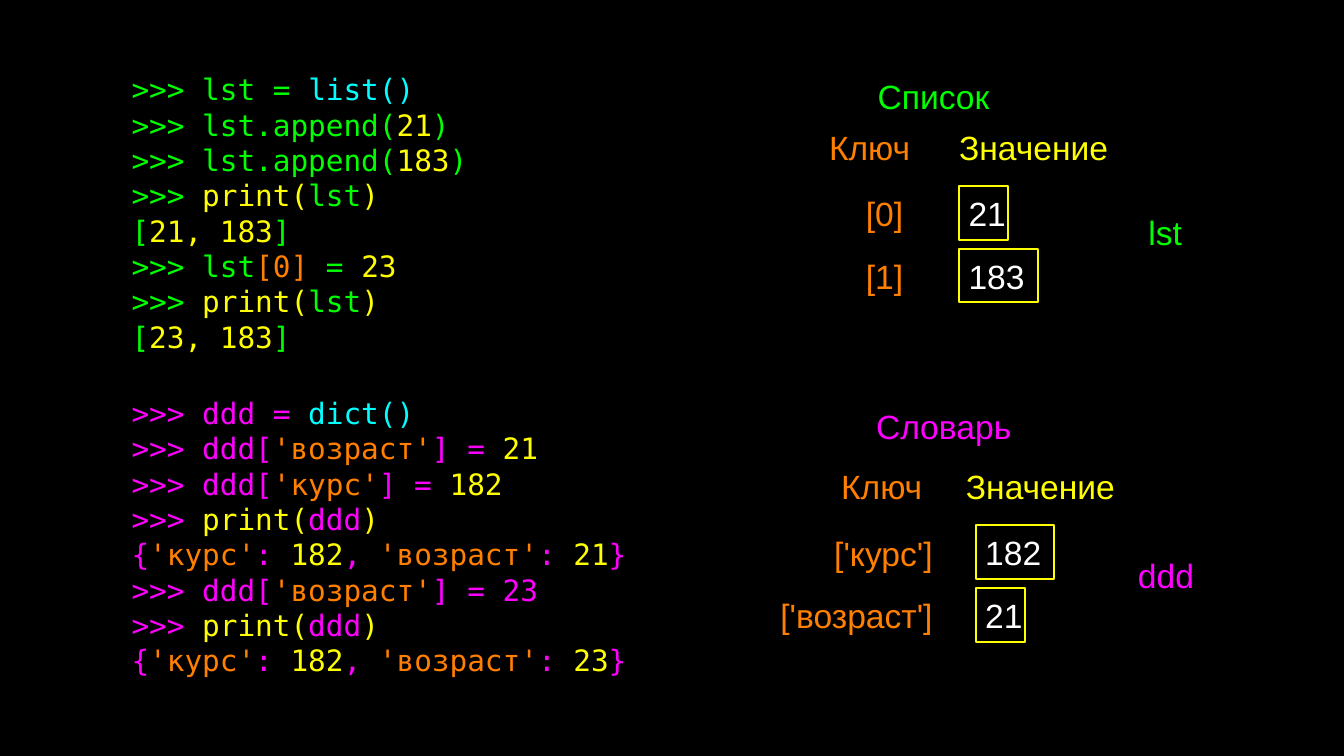
from pptx import Presentation
from pptx.dml.color import RGBColor
from pptx.enum.shapes import MSO_SHAPE
from pptx.enum.text import MSO_ANCHOR, PP_ALIGN
from pptx.util import Inches, Pt

LEFT, CENTER, RIGHT = PP_ALIGN.LEFT, PP_ALIGN.CENTER, PP_ALIGN.RIGHT
MIDDLE = MSO_ANCHOR.MIDDLE
RECTANGLE = MSO_SHAPE.RECTANGLE

COLORS = {
    "background": "000000",
    "list": "00FF00",
    "dict": "FF00FF",
    "type": "00FFFF",
    "key": "FF7F00",
    "value": "FFFF00",
    "content": "FFFFFF",
}
CODE_FONT, LABEL_FONT = "DejaVu Sans Mono", "Arial"
BOX_HEIGHT, KEY_HEIGHT, ROW_STEP = 0.71, 0.68, 0.83


def rgb(name):
    return RGBColor.from_string(COLORS[name])


def write_text(shape, lines, *, font=LABEL_FONT, size=32, align=CENTER):
    """Fill a shape with lines, each a list of (text, colour name) runs."""
    frame = shape.text_frame
    frame.word_wrap = True
    frame.vertical_anchor = MIDDLE
    frame.margin_left = frame.margin_right = 0
    frame.margin_top = frame.margin_bottom = 0
    for index, line in enumerate(lines):
        paragraph = frame.add_paragraph() if index else frame.paragraphs[0]
        paragraph.alignment = align
        for text, color in line:
            run = paragraph.add_run()
            run.text = text
            run.font.name = font
            run.font.size = Pt(size)
            run.font.color.rgb = rgb(color)


def add_label(slide, text, color, left, top, width, height, align=CENTER):
    shape = slide.shapes.add_textbox(*map(Inches, (left, top, width, height)))
    write_text(shape, [[(text, color)]], align=align)


def add_code(slide, lines, left, top, width, height):
    shape = slide.shapes.add_textbox(*map(Inches, (left, top, width, height)))
    write_text(shape, lines, font=CODE_FONT, size=28, align=LEFT)


def add_value_box(slide, text, left, top, width):
    shape = slide.shapes.add_shape(
        RECTANGLE, *map(Inches, (left, top, width, BOX_HEIGHT)))
    shape.shadow.inherit = False
    shape.fill.background()
    shape.line.color.rgb = rgb("value")
    shape.line.width = Pt(2)
    write_text(shape, [[(text, "content")]], align=LEFT)


def add_rows(slide, rows, key_right, box_left, top):
    """Stack key and value pairs; keys end at key_right."""
    for index, (key, key_width, value, box_width) in enumerate(rows):
        row_top = top + index * ROW_STEP
        add_label(slide, key, "key", key_right - key_width, row_top + 0.02,
                  key_width, KEY_HEIGHT, RIGHT)
        add_value_box(slide, value, box_left, row_top, box_width)


def add_headings(slide, top, key_width, value_width):
    add_label(slide, "Ключ", "key", 10.85, top, key_width, KEY_HEIGHT)
    add_label(slide, "Значение", "value", 12.66, top, value_width, KEY_HEIGHT)


def create_line(name, constructor, color):
    return [(f">>> {name} = ", color), (constructor, "type")]


def print_line(name, color):
    return [(">>> ", color), ("print(", "value"), (name, color), (")", "value")]


def append_line(value):
    return [(">>> lst.append(", "list"), (value, "value"), (")", "list")]


def list_output(values):
    return [("[", "list"), (values, "value"), ("]", "list")]


def assign_line(key, value, value_color="value"):
    return [(">>> ddd[", "dict"), (key, "key"), ("] = ", "dict"),
            (value, value_color)]


def dict_output(course, age):
    return [("{", "dict"), ("'курс'", "key"), (": ", "dict"),
            (course, "value"), (", ", "dict"), ("'возраст'", "key"),
            (": ", "dict"), (age, "value"), ("}", "dict")]


def main():
    presentation = Presentation()
    presentation.slide_width = Inches(17.78)
    presentation.slide_height = Inches(10)
    slide = presentation.slides.add_slide(presentation.slide_layouts[6])
    slide.background.fill.solid()
    slide.background.fill.fore_color.rgb = rgb("background")

    # List session
    add_code(slide, [
        create_line("lst", "list()", "list"),
        append_line("21"),
        append_line("183"),
        print_line("lst", "list"),
        list_output("21, 183"),
        [(">>> lst", "list"), ("[0]", "key"), (" = ", "list"), ("23", "value")],
        print_line("lst", "list"),
        list_output("23, 183"),
    ], 1.74, 0.85, 6.22, 3.93)

    # Dictionary session
    add_code(slide, [
        create_line("ddd", "dict()", "dict"),
        assign_line("'возраст'", "21"),
        assign_line("'курс'", "182"),
        print_line("ddd", "dict"),
        dict_output("182", "21"),
        assign_line("'возраст'", "23", "dict"),
        print_line("ddd", "dict"),
        dict_output("182", "23"),
    ], 1.74, 4.94, 6.8, 4.31)

    # List diagram
    add_label(slide, "Список", "list", 11.39, 0.85, 1.92, 0.85)
    add_headings(slide, 1.6, 1.31, 2.03)
    add_rows(slide, [("[0]", 0.71, " 21", 0.65), ("[1]", 0.71, " 183", 1.04)],
             key_right=11.95, box_left=12.69, top=2.46)
    add_label(slide, "lst", "list", 15.06, 2.64, 0.71, 0.85)

    # Dictionary diagram
    add_label(slide, "Словарь", "dict", 11.05, 5.21, 2.87, 0.85)
    add_headings(slide, 6.09, 1.63, 2.21)
    add_rows(slide, [("['курс']", 2.02, " 182", 1.04),
                     ("['возраст']", 2.41, " 21", 0.65)],
             key_right=12.34, box_left=12.91, top=6.95)
    add_label(slide, "ddd", "dict", 14.88, 7.18, 1.09, 0.85)

    presentation.save("out.pptx")


if __name__ == "__main__":
    main()
